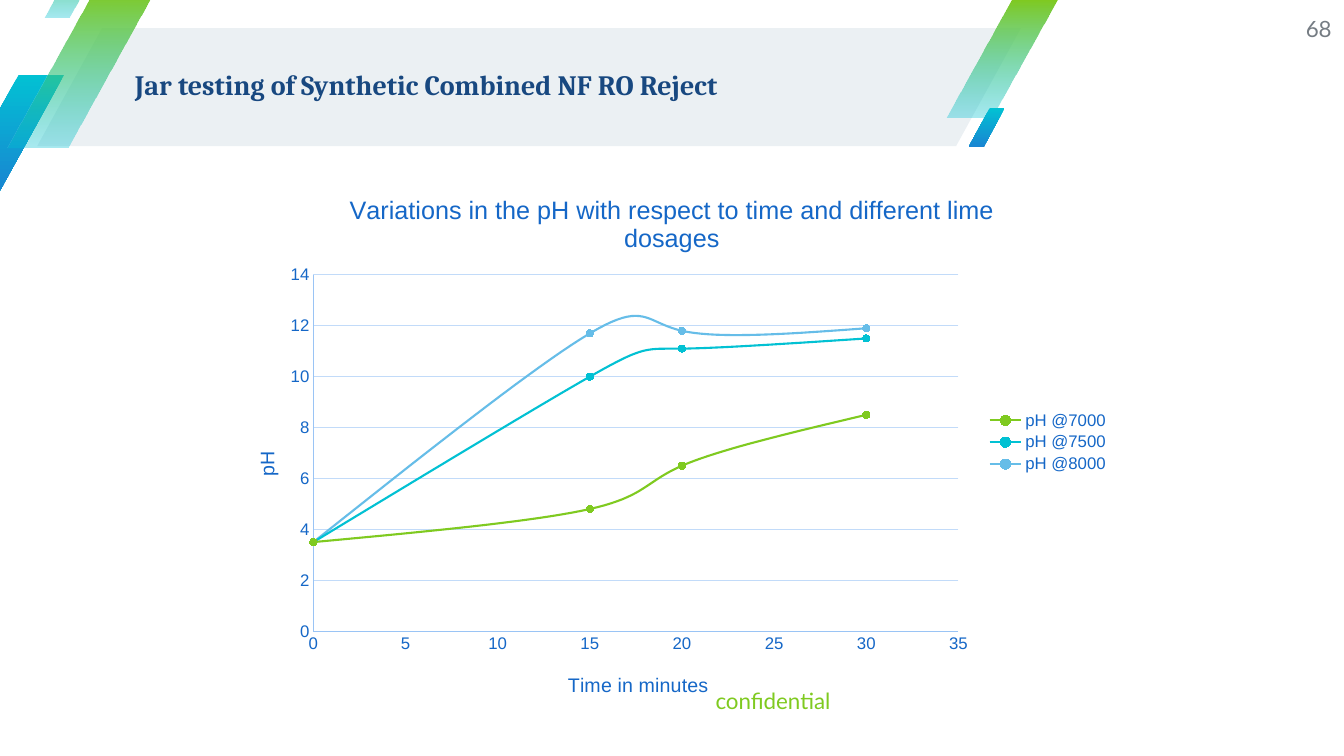
from lxml import etree
from pptx import Presentation
from pptx.chart.data import XyChartData
from pptx.dml.color import RGBColor
from pptx.enum.chart import XL_CHART_TYPE, XL_LEGEND_POSITION, XL_MARKER_STYLE, XL_TICK_MARK
from pptx.enum.shapes import MSO_SHAPE
from pptx.enum.text import MSO_ANCHOR, PP_ALIGN
from pptx.oxml.ns import qn
from pptx.util import Cm, Pt

PARALLELOGRAM = MSO_SHAPE.PARALLELOGRAM
SMOOTH_SCATTER = XL_CHART_TYPE.XY_SCATTER_SMOOTH
LEGEND_RIGHT = XL_LEGEND_POSITION.RIGHT
CIRCLE = XL_MARKER_STYLE.CIRCLE
NO_TICKS = XL_TICK_MARK.NONE
MIDDLE = MSO_ANCHOR.MIDDLE
LEFT, CENTER, RIGHT = PP_ALIGN.LEFT, PP_ALIGN.CENTER, PP_ALIGN.RIGHT

COLORS = {
    "band": "EBF0F3",
    "green": "7FCA20",
    "teal": "02C1D3",
    "blue": "1985D2",
    "sky": "66BDE8",
    "navy": "184880",
    "gray": "757C83",
    "chart text": "1567C7",
    "axis": "9AC4F5",
    "grid": "C2DBF9",
}
COLORS = {name: RGBColor.from_string(value) for name, value in COLORS.items()}


def write(text_frame, text, font="Arial", size=12, color="chart text", bold=False,
          align=CENTER, line_spacing=None):
    paragraph = text_frame.paragraphs[0]
    paragraph.alignment = align
    if line_spacing:
        paragraph.line_spacing = line_spacing
    run = paragraph.add_run()
    run.text = text
    run.font.name = font
    run.font.size = Pt(size)
    run.font.bold = bold
    run.font.color.rgb = COLORS[color]


def place(chart_part, **values):
    """Put a chart part at fractions of the chart's width and height."""
    layout = chart_part.find(qn("c:layout"))
    if layout is None:
        layout = etree.Element(qn("c:layout"))
        chart_part.insert(0, layout)
    manual = etree.SubElement(layout, qn("c:manualLayout"))
    for name, value in values.items():
        etree.SubElement(manual, qn(f"c:{name}")).set("val", str(value))


presentation = Presentation()
presentation.slide_width = Cm(33.87)
presentation.slide_height = Cm(19.05)
slide = presentation.slides.add_slide(presentation.slide_layouts[5])

# Header band and slanted accents: left, top, width, height, slant, fill
solid_band = ("band",)
teal_to_blue = ("teal", "blue", 100)
green_to_clear = ("green", "teal", 34)
header_shapes = [
    (0.94, 0.71, 24.79, 2.97, 0.55, solid_band),
    (-1.17, 1.88, 2.79, 2.97, 0.59, teal_to_blue),
    (23.85, 0, 2.79, 2.97, 0.59, green_to_clear),
    (0.2, -0.25, 3.71, 3.96, 0.59, green_to_clear),
    (1.12, -1.22, 1.55, 1.65, 0.59, green_to_clear),
    (24.41, 2.72, 0.91, 0.99, 0.59, teal_to_blue),
]
for left, top, width, height, slant, colors in header_shapes:
    shape = slide.shapes.add_shape(PARALLELOGRAM, Cm(left), Cm(top), Cm(width), Cm(height))
    shape.adjustments[0] = slant
    shape.shadow.inherit = False
    shape.line.fill.background()
    if colors == solid_band:
        shape.fill.solid()
        shape.fill.fore_color.rgb = COLORS["band"]
        continue
    start, end, opacity = colors
    shape.fill.gradient()
    shape.fill.gradient_angle = 270
    stops = shape.fill.gradient_stops
    stops[0].color.rgb = COLORS[start]
    stops[1].color.rgb = COLORS[end]
    if opacity < 100:
        end_color = shape._element.spPr.findall(".//" + qn("a:srgbClr"))[-1]
        etree.SubElement(end_color, qn("a:alpha")).set("val", str(opacity * 1000))

# Title, footer and slide number
title = slide.shapes.title
title.left, title.top, title.width, title.height = Cm(3.4), Cm(0.66), Cm(22.33), Cm(3.02)
slide.shapes._spTree.append(title._element)
footer = slide.shapes.add_textbox(Cm(11.86), Cm(16.94), Cm(9.07), Cm(1.45))
number = slide.shapes.add_textbox(Cm(31.7), Cm(0), Cm(1.86), Cm(1.45))
for box in (title, footer, number):
    frame = box.text_frame
    frame.word_wrap = True
    frame.vertical_anchor = MIDDLE
    frame.margin_left = frame.margin_right = frame.margin_top = frame.margin_bottom = 0
write(title.text_frame, "Jar testing of Synthetic Combined NF RO Reject", font="Cambria",
      size=20, color="navy", bold=True, align=LEFT, line_spacing=0.9)
write(footer.text_frame, "confidential", font="Lato", size=16, color="green", align=RIGHT)
write(number.text_frame, "68", font="Lato", size=16, color="gray", align=RIGHT)

# pH chart
minutes = [0, 15, 20, 30]
ph_series = [
    ("pH @7000", "green", [3.5, 4.8, 6.5, 8.5]),
    ("pH @7500", "teal", [3.5, 10, 11.1, 11.5]),
    ("pH @8000", "sky", [3.5, 11.7, 11.8, 11.9]),
]
chart_data = XyChartData()
for name, _, ph_values in ph_series:
    data_series = chart_data.add_series(name)
    for minute, ph in zip(minutes, ph_values):
        data_series.add_data_point(minute, ph)
chart = slide.shapes.add_chart(SMOOTH_SCATTER, Cm(5.64), Cm(4.34), Cm(22.58), Cm(13.61),
                               chart_data).chart
chart.font.name = "Arial"
chart.font.size = Pt(12)
chart.font.color.rgb = COLORS["chart text"]
chart.has_title = True
write(chart.chart_title.text_frame,
      "Variations in the pH with respect to time and different lime dosages", size=18)
chart.has_legend = True
chart.legend.position = LEGEND_RIGHT
chart.legend.include_in_layout = False
chart.legend.font.name = "Arial"
chart.legend.font.size = Pt(12)
chart.legend.font.color.rgb = COLORS["chart text"]

plot = chart.plots[0]
plot.vary_by_categories = False
for series, (_, color, _) in zip(plot.series, ph_series):
    series.format.line.color.rgb = COLORS[color]
    series.format.line.width = Pt(1.5)
    series.marker.style = CIRCLE
    series.marker.size = 5
    series.marker.format.fill.solid()
    series.marker.format.fill.fore_color.rgb = COLORS[color]
    series.marker.format.line.color.rgb = COLORS[color]
    series._element.find(qn("c:smooth")).set("val", "1")

time_axis, ph_axis = chart.category_axis, chart.value_axis
for axis, text, maximum, step, x, y in [
    (time_axis, "Time in minutes", 35, 5, 0.38, 0.92),
    (ph_axis, "pH", 14, 2, 0.03, 0.51),
]:
    axis.minimum_scale = 0
    axis.maximum_scale = maximum
    axis.major_unit = step
    axis.major_tick_mark = axis.minor_tick_mark = NO_TICKS
    axis.format.line.color.rgb = COLORS["axis"]
    axis.format.line.width = Pt(0.75)
    axis.tick_labels.font.name = "Arial"
    axis.tick_labels.font.size = Pt(12)
    axis.tick_labels.font.color.rgb = COLORS["chart text"]
    axis.tick_labels.number_format = "General"
    axis.tick_labels.number_format_is_linked = False
    write(axis.axis_title.text_frame, text, size=14)
    place(axis.axis_title._element, xMode="edge", yMode="edge", x=x, y=y)
time_axis.has_major_gridlines = False
ph_axis.has_major_gridlines = True
ph_axis.major_gridlines.format.line.color.rgb = COLORS["grid"]
ph_axis.major_gridlines.format.line.width = Pt(0.75)
ph_axis.axis_title.text_frame._element.find(qn("a:bodyPr")).set("rot", "-5400000")
plot_area = chart._chartSpace.find(".//" + qn("c:plotArea"))
place(plot_area, layoutTarget="inner", xMode="edge", yMode="edge",
      x=0.1, y=0.19, w=0.72, h=0.66)

presentation.save("out.pptx")
